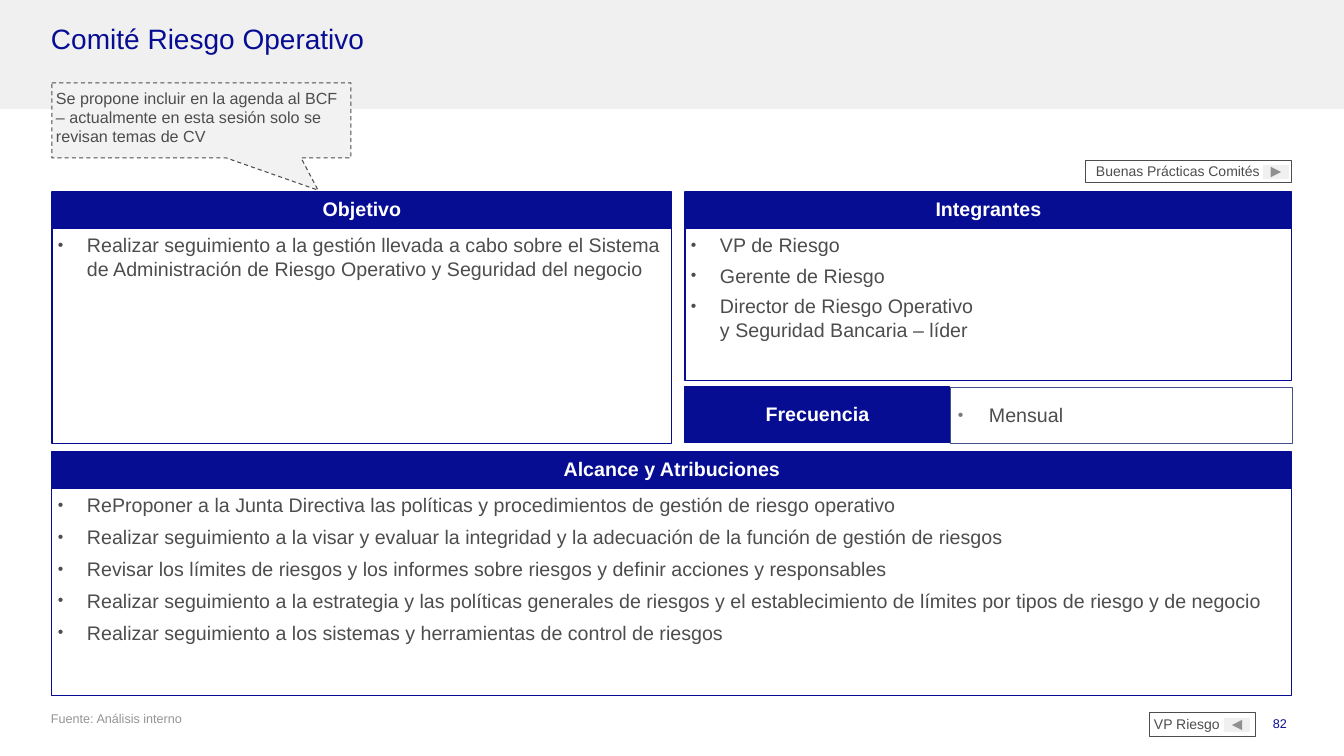
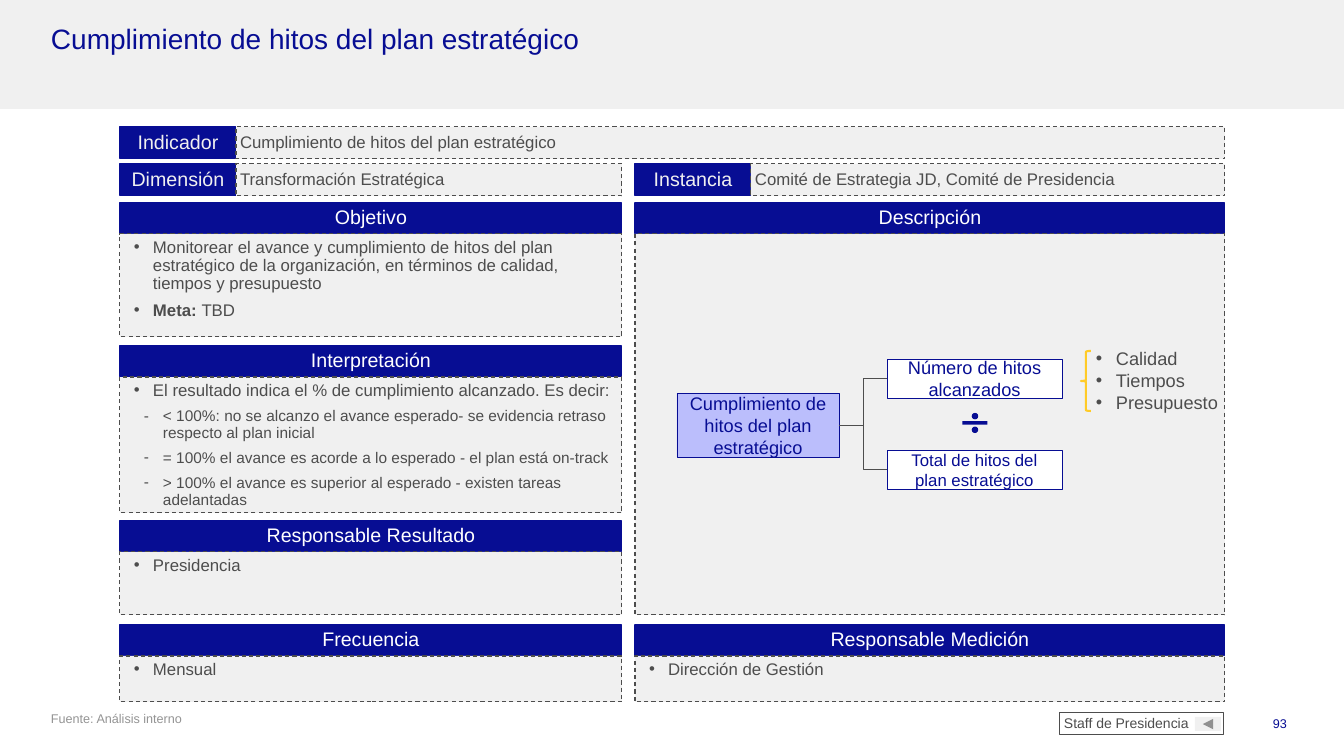
from dataclasses import dataclass, replace

from lxml.etree import SubElement
from pptx import Presentation
from pptx.dml.color import RGBColor
from pptx.enum.dml import MSO_LINE
from pptx.enum.shapes import MSO_CONNECTOR, MSO_SHAPE
from pptx.enum.text import MSO_ANCHOR, MSO_AUTO_SIZE, PP_ALIGN
from pptx.oxml.ns import qn
from pptx.util import Emu, Inches, Pt

SCALE = Inches(1) / 100.8
FONT = "Arial"
COLORS = {
    "navy": "070D93",
    "gray_band": "F0F0F0",
    "callout": "F2F2F2",
    "text": "4D4D4D",
    "source": "949494",
    "bullet": "787878",
    "steel": "42508E",
    "lavender": "BBBEFC",
    "yellow": "FFCB27",
    "white": "FFFFFF",
}
INSETS = (4, 5, 4, 5)


@dataclass(frozen=True)
class TextStyle:
    size: float
    color: str = "text"
    bold: bool = False
    align: PP_ALIGN = PP_ALIGN.LEFT
    line_spacing: float = 1.0
    before: int = 0
    after: int = 0
    bullet: str = ""
    bullet_color: str = "text"
    bullet_size: int = 100
    indent: int = 0
    hanging: int = 0


TITLE = TextStyle(20, "navy", line_spacing=0.9)
SOURCE = TextStyle(9, "source")
PAGE_NUMBER = TextStyle(9, "navy", align=PP_ALIGN.RIGHT)
BUTTON = TextStyle(10, line_spacing=0.9)
COMMITTEE_HEADER = TextStyle(14, "white", True, PP_ALIGN.CENTER, 0.9)
COMMITTEE_BULLET = TextStyle(14, before=6, bullet="•", bullet_size=80, indent=29, hanging=29)
CARD_HEADER = TextStyle(14, "white", align=PP_ALIGN.CENTER, line_spacing=0.9)
CARD_LABEL = replace(CARD_HEADER, color="gray_band")
CARD_VALUE = TextStyle(12, line_spacing=0.9)
CARD_BULLET = replace(CARD_VALUE, before=3, after=3, bullet="•", indent=29, hanging=19)
CARD_DASH = replace(CARD_BULLET, size=11, bullet="-", indent=39)
FORMULA = TextStyle(13, "navy", align=PP_ALIGN.CENTER)
FORMULA_BULLET = TextStyle(13, bullet="•", indent=20, hanging=20)


def px(length):
    return Emu(round(length * SCALE))


def rgb(name):
    return RGBColor.from_string(COLORS[name])


def add_bullet(paragraph, style):
    properties = paragraph._p.get_or_add_pPr()
    properties.set("marL", str(px(style.indent)))
    properties.set("indent", str(-px(style.hanging)))
    color = SubElement(properties, qn("a:buClr"))
    SubElement(color, qn("a:srgbClr"), val=COLORS[style.bullet_color])
    SubElement(properties, qn("a:buSzPct"), val=str(style.bullet_size * 1000))
    SubElement(properties, qn("a:buFont"), typeface=FONT)
    SubElement(properties, qn("a:buChar"), char=style.bullet)


def format_paragraph(paragraph, style):
    paragraph.alignment = style.align
    paragraph.line_spacing = style.line_spacing
    paragraph.space_before = Pt(style.before)
    paragraph.space_after = Pt(style.after)
    if style.bullet:
        add_bullet(paragraph, style)
    font = paragraph.font
    font.name = FONT
    font.size = Pt(style.size)
    font.bold = style.bold
    font.color.rgb = rgb(style.color)


def write(shape, lines, style, anchor=MSO_ANCHOR.TOP, insets=INSETS):
    frame = shape.text_frame
    frame.word_wrap = True
    frame.auto_size = MSO_AUTO_SIZE.NONE
    frame.vertical_anchor = anchor
    frame.margin_left, frame.margin_top, frame.margin_right, frame.margin_bottom = map(px, insets)
    for index, line in enumerate(lines):
        paragraph = frame.paragraphs[0] if index == 0 else frame.add_paragraph()
        text, line_style = line if isinstance(line, tuple) else (line, style)
        paragraph.text = text
        format_paragraph(paragraph, line_style)


def add_box(slide, box, fill=None, line=None, weight=0.75, dashed=False, kind=MSO_SHAPE.RECTANGLE):
    shape = slide.shapes.add_shape(kind, *map(px, box))
    shape.shadow.inherit = False
    if fill:
        shape.fill.solid()
        shape.fill.fore_color.rgb = rgb(fill)
    else:
        shape.fill.background()
    if line:
        shape.line.color.rgb = rgb(line)
        shape.line.width = Pt(weight)
        if dashed:
            shape.line.dash_style = MSO_LINE.DASH
    else:
        shape.line.fill.background()
    return shape


def add_text(slide, box, lines, style, **options):
    shape = slide.shapes.add_textbox(*map(px, box))
    write(shape, lines, style, **options)


def add_label(slide, box, text, style):
    shape = add_box(slide, box, "navy", "navy")
    write(shape, [text], style, MSO_ANCHOR.MIDDLE)


def add_gray_box(slide, box):
    return add_box(slide, box, "gray_band", "text", dashed=True)


def add_button(slide, box, text, back=True, text_inset=4, arrow_gap=3):
    left, top, width, height = box
    button = add_box(slide, box, line="text")
    write(button, [text], BUTTON, MSO_ANCHOR.MIDDLE, (text_inset, 0, 0, 0))
    arrow_box = (left + width - arrow_gap - 26, top + (height - 14) // 2, 26, 14)
    arrow = add_box(slide, arrow_box, "gray_band", kind=MSO_SHAPE.ACTION_BUTTON_FORWARD_OR_NEXT)
    arrow.rotation = 180 if back else 0


def add_slide(presentation, title, page_number):
    slide = presentation.slides.add_slide(presentation.slide_layouts[5])
    band = add_box(slide, (0, 0, 1344, 109), "gray_band")
    slide.shapes.element.insert(2, band.element)
    heading = slide.shapes.title
    heading.left, heading.top, heading.width, heading.height = map(px, (47, 20, 1250, 70))
    write(heading, [title], TITLE)
    add_text(slide, (47, 711, 1111, 40), ["Fuente: Análisis interno"], SOURCE, insets=(4, 0, 4, 4))
    add_text(slide, (1185, 711, 112, 40), [page_number], PAGE_NUMBER, insets=(10, 5, 10, 5))
    return slide


def add_committee_panel(slide, box, header, lines, style=COMMITTEE_BULLET, columns=1):
    left, top, width, height = box
    add_label(slide, (left, top, width, 36), header, COMMITTEE_HEADER)
    body = add_box(slide, (left, top + 36, width, height - 36), line="navy")
    write(body, lines, style, insets=(6, 5, 6, 5))
    if columns > 1:
        body.element.txBody.bodyPr.set("numCol", str(columns))


def add_frequency(slide, box, label_width):
    left, top, width, height = box
    value = add_box(slide, (left + label_width, top, width - label_width, height), "white", "steel", 0.5)
    style = replace(COMMITTEE_BULLET, before=1, bullet_color="bullet", indent=31, hanging=31)
    write(value, ["Mensual"], style, MSO_ANCHOR.MIDDLE, (8, 4, 8, 4))
    add_label(slide, (left, top, label_width, height), "Frecuencia", COMMITTEE_HEADER)


def build_committee_slide(presentation):
    slide = add_slide(presentation, "Comité Riesgo Operativo", "82")
    add_committee_panel(slide, (52, 192, 620, 252), "Objetivo", [
        "Realizar seguimiento a la gestión llevada a cabo sobre el Sistema de Administración "
        "de Riesgo Operativo y Seguridad del negocio",
    ])
    add_committee_panel(slide, (685, 192, 607, 189), "Integrantes", [
        "VP de Riesgo",
        "Gerente de Riesgo",
        "Director de Riesgo Operativo y Seguridad Bancaria – líder",
    ], replace(COMMITTEE_BULLET, before=5), columns=2)
    add_frequency(slide, (685, 387, 607, 56), 265)
    add_committee_panel(slide, (52, 452, 1240, 244), "Alcance y Atribuciones", [
        "ReProponer a la Junta Directiva las políticas y procedimientos de gestión de riesgo operativo",
        "Realizar seguimiento a la visar y evaluar la integridad y la adecuación de la función "
        "de gestión de riesgos",
        "Revisar los límites de riesgos y los informes sobre riesgos y definir acciones y responsables",
        "Realizar seguimiento a la estrategia y las políticas generales de riesgos y el "
        "establecimiento de límites por tipos de riesgo y de negocio",
        "Realizar seguimiento a los sistemas y herramientas de control de riesgos",
    ])
    callout = add_box(slide, (52, 83, 299, 75), "callout", "text", dashed=True,
                      kind=MSO_SHAPE.RECTANGULAR_CALLOUT)
    callout.adjustments[0], callout.adjustments[1] = 0.39, 0.93
    write(callout, ["Se propone incluir en la agenda al BCF – actualmente en esta sesión "
                    "solo se revisan temas de CV"], TextStyle(11.5, after=2))
    add_button(slide, (1150, 713, 106, 24), "VP Riesgo", arrow_gap=6)
    add_button(slide, (1086, 161, 206, 22), "Buenas Prácticas Comités", back=False, text_inset=10)


def add_field(slide, box, label, value):
    left, top, width, height = box
    add_label(slide, (left, top, 116, height), label, CARD_LABEL)
    field = add_gray_box(slide, (left + 116, top, width - 116, height))
    write(field, [value], CARD_VALUE, MSO_ANCHOR.MIDDLE)


def add_card(slide, box, header, lines=()):
    left, top, width, height = box
    add_label(slide, (left, top, width, 31), header, CARD_HEADER)
    body = add_gray_box(slide, (left, top + 31, width, height - 31))
    write(body, lines, CARD_BULLET)


def add_formula_box(slide, box, text, size=13, fill="white"):
    shape = add_box(slide, box, fill, "navy", 0.5)
    write(shape, [text], replace(FORMULA, size=size), MSO_ANCHOR.MIDDLE, (10, 5, 10, 5))
    return shape


def add_formula(slide, left, top):
    result = add_formula_box(slide, (left, top + 48, 162, 64),
                             "Cumplimiento de hitos del plan estratégico", fill="lavender")
    terms = [
        add_formula_box(slide, (left + 210, top + 14, 175, 39), "Número de hitos alcanzados"),
        add_formula_box(slide, (left + 210, top + 105, 175, 39), "Total de hitos del plan estratégico", 12),
    ]
    for term in terms:
        connector = slide.shapes.add_connector(MSO_CONNECTOR.ELBOW, 0, 0, 0, 0)
        connector.begin_connect(result, 3)
        connector.end_connect(term, 1)
        connector.line.color.rgb = rgb("text")
        connector.line.width = Pt(0.5)
        SubElement(connector.element.spPr, qn("a:effectLst"))
    divide = add_box(slide, (left + 281, top + 60, 34, 36), "navy", kind=MSO_SHAPE.MATH_DIVIDE)
    for index, value in enumerate((0.1, 0.05, 0.09)):
        divide.adjustments[index] = value
    add_box(slide, (left + 404, top + 6, 10, 60), line="yellow", weight=1.5, kind=MSO_SHAPE.LEFT_BRACE)
    add_text(slide, (left + 409, top, 143, 70), ["Calidad", "Tiempos", "Presupuesto"],
             FORMULA_BULLET, anchor=MSO_ANCHOR.MIDDLE, insets=(10, 5, 10, 5))


def build_indicator_slide(presentation):
    title = "Cumplimiento de hitos del plan estratégico"
    slide = add_slide(presentation, title, "93")
    left, left_width, right, right_width = 120, 502, 635, 590
    add_field(slide, (left, 127, right + right_width - left, 32), "Indicador", title)
    add_field(slide, (left, 164, left_width, 32), "Dimensión", "Transformación Estratégica")
    add_field(slide, (right, 164, right_width, 32), "Instancia",
              "Comité de Estrategia JD, Comité de Presidencia")
    left_cards = [
        (203, 134, "Objetivo", [
            "Monitorear el avance y cumplimiento de hitos del plan estratégico de la organización, "
            "en términos de calidad, tiempos y presupuesto",
            "Meta: ",
        ]),
        (346, 167, "Interpretación", [
            "El resultado indica el % de cumplimiento alcanzado. Es decir:",
            ("< 100%: no se alcanzo el avance esperado- se evidencia retraso respecto al plan inicial",
             CARD_DASH),
            ("= 100% el avance es acorde a lo esperado - el plan está on-track", CARD_DASH),
            ("> 100% el avance es superior al esperado - existen tareas adelantadas", CARD_DASH),
        ]),
        (521, 94, "Responsable Resultado", ["Presidencia"]),
        (625, 77, "Frecuencia", ["Mensual"]),
    ]
    for top, height, header, lines in left_cards:
        add_card(slide, (left, top, left_width, height), header, lines)
        if header == "Objetivo":
            goal = slide.shapes[-1].text_frame.paragraphs[-1]
            goal.runs[0].font.bold = True
            goal.add_run().text = "TBD"
    add_card(slide, (right, 203, right_width, 412), "Descripción")
    add_card(slide, (right, 625, right_width, 77), "Responsable Medición", ["Dirección de Gestión"])
    add_formula(slide, 677, 345)
    add_button(slide, (1060, 713, 164, 22), "Staff de Presidencia")


def main():
    presentation = Presentation()
    presentation.slide_width, presentation.slide_height = px(1344), px(756)
    build_committee_slide(presentation)
    build_indicator_slide(presentation)
    presentation.save("out.pptx")


if __name__ == "__main__":
    main()
